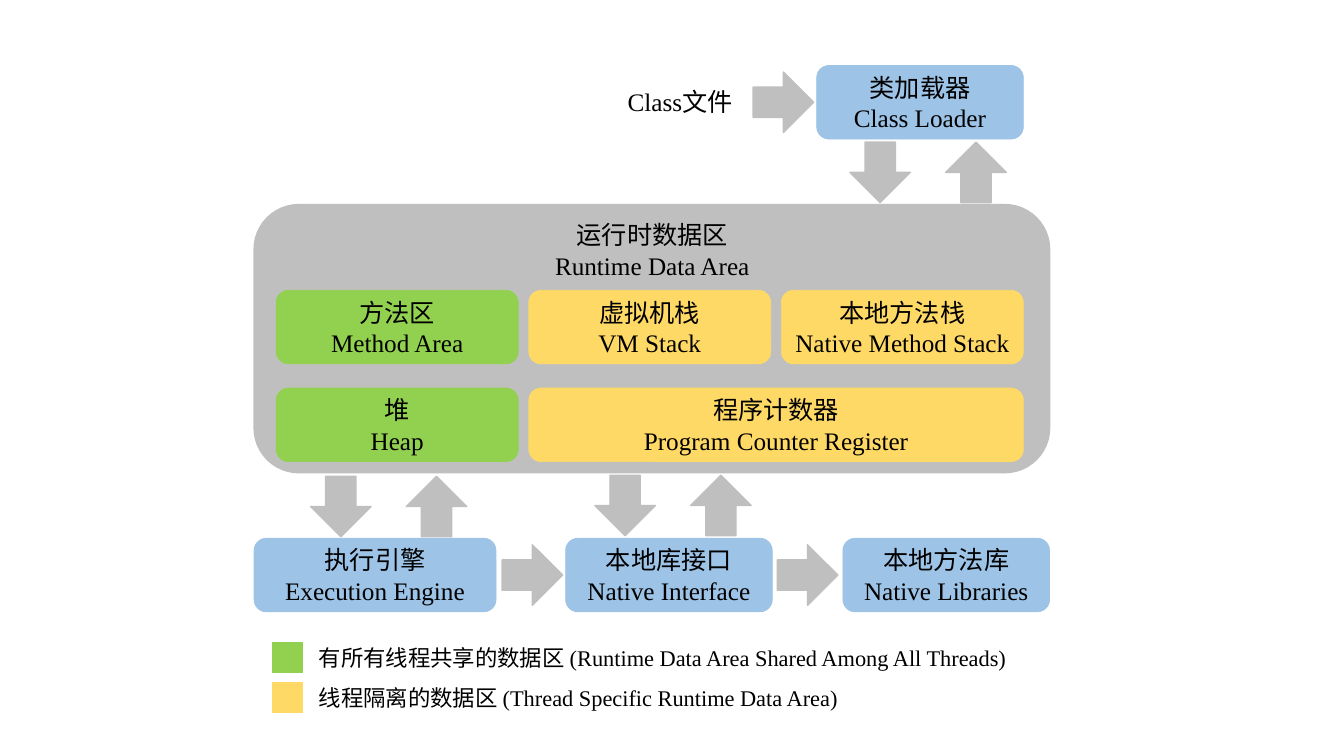
from pptx import Presentation
from pptx.dml.color import RGBColor
from pptx.enum.shapes import MSO_SHAPE as Preset
from pptx.enum.text import MSO_ANCHOR as Anchor, PP_ALIGN as Align
from pptx.util import Inches, Pt

COLORS = {"module": "9DC3E6", "shared": "92D050", "isolated": "FFD966",
          "area": "BFBFBF", "paper": "FFFFFF", "ink": "000000"}
CELL = 0.1  # one grid column or row, in inches
BOX_H = 7.3
ARROW = 6
PAIR_STEP = 9.5


class Diagram:
    """Holds the slide and the style shared by its elements."""

    font = "Times New Roman"

    def __init__(self, slide):
        """Keep the slide to draw on."""
        self.slide = slide

    def block(self, preset, col, row, cols, rows, color, line=0.5):
        """Add a flat preset shape placed on the grid."""
        place = [Inches(cells * CELL) for cells in (col, row, cols, rows)]
        shape = self.slide.shapes.add_shape(preset, *place)
        shape.shadow.inherit = False
        shape.fill.solid()
        shape.fill.fore_color.rgb = RGBColor.from_string(COLORS[color])
        shape.line.color.rgb = RGBColor.from_string(COLORS[color])
        shape.line.width = Pt(line)
        return shape

    def label(self, shape, lines, size=18, align=Align.CENTER):
        """Put one paragraph per line into a shape."""
        frame = shape.text_frame
        frame.word_wrap = True
        frame.vertical_anchor = Anchor.MIDDLE
        frame.text = "\n".join(lines)
        for paragraph in frame.paragraphs:
            paragraph.alignment = align
            paragraph.font.name = self.font
            paragraph.font.size = Pt(size)
            paragraph.font.color.rgb = RGBColor.from_string(COLORS["ink"])

    def component(self, col, row, cols, color, *names, rows=BOX_H):
        """Add a rounded box with its Chinese and English names."""
        box = self.block(Preset.ROUNDED_RECTANGLE, col, row, cols, rows, color)
        self.label(box, names)

    def arrow(self, col, row, angle=0):
        """Add a block arrow, turned clockwise from pointing right."""
        arrow = self.block(Preset.RIGHT_ARROW, col, row, ARROW, ARROW, "area", line=1)
        arrow.rotation = angle

    def exchange(self, col, row):
        """Add a down arrow and an up arrow side by side."""
        self.arrow(col, row, 90)
        self.arrow(col + PAIR_STEP, row, 270)

    def legend(self, row, cols, color, meaning):
        """Add a colour key with its meaning."""
        self.block(Preset.RECTANGLE, 27, row, 3, 3, color)
        caption = self.block(Preset.ROUNDED_RECTANGLE, 30.5, row, cols, 3.1, "paper")
        self.label(caption, [meaning], size=16, align=Align.LEFT)


presentation = Presentation()
presentation.slide_width, presentation.slide_height = Inches(13.33), Inches(7.5)
jvm = Diagram(presentation.slides.add_slide(presentation.slide_layouts[6]))

# Runtime data area: a grid of three columns and two rows
AREA_COL, AREA_COLS = 25.2, 78.9
FIRST_COL, COL_STEP, REGION_COLS = 27.4, 25.05, 24
FIRST_ROW, ROW_STEP = 28.8, 9.7
jvm.block(Preset.ROUNDED_RECTANGLE, AREA_COL, 20.3, AREA_COLS, 26.6, "area", line=1)
jvm.component(52.7, 22, REGION_COLS, "area", "运行时数据区", "Runtime Data Area", rows=5.6)
regions = [
    (0, 0, 1, "shared", "方法区", "Method Area"),
    (1, 0, 1, "isolated", "虚拟机栈", "VM Stack"),
    (2, 0, 1, "isolated", "本地方法栈", "Native Method Stack"),
    (0, 1, 1, "shared", "堆", "Heap"),
    (1, 1, 2, "isolated", "程序计数器", "Program Counter Register"),
]
for column, row, span, color, *names in regions:
    jvm.component(FIRST_COL + column * COL_STEP, FIRST_ROW + row * ROW_STEP,
                  REGION_COLS + (span - 1) * COL_STEP, color, *names)

# Modules around the area, with the arrows that lead along their rows
LOADER_ROW, ENGINE_ROW = 6.5, 53.4
modules = [
    (81, LOADER_ROW, 20.5, "类加载器", "Class Loader"),
    (AREA_COL, ENGINE_ROW, 24, "执行引擎", "Execution Engine"),
    (56.1, ENGINE_ROW, 20.5, "本地库接口", "Native Interface"),
    (83.6, ENGINE_ROW, 20.5, "本地方法库", "Native Libraries"),
]
for col, row, cols, *names in modules:
    jvm.component(col, row, cols, "module", *names)

class_file = jvm.block(Preset.RECTANGLE, 61.2, 8, 12.5, 4.2, "paper", line=1)
jvm.label(class_file, ["Class文件"])

for col, module_row in [(74.7, LOADER_ROW), (49.8, ENGINE_ROW), (77.1, ENGINE_ROW)]:
    jvm.arrow(col, module_row + (BOX_H - ARROW) / 2)
for col, row in [(84.3, 14.1), (30.8, 47.25), (59, 47.15)]:
    jvm.exchange(col, row)

jvm.legend(63.7, 71, "shared",
           "有所有线程共享的数据区 (Runtime Data Area Shared Among All Threads)")
jvm.legend(67.7, 60, "isolated", "线程隔离的数据区 (Thread Specific Runtime Data Area)")

presentation.save("out.pptx")
